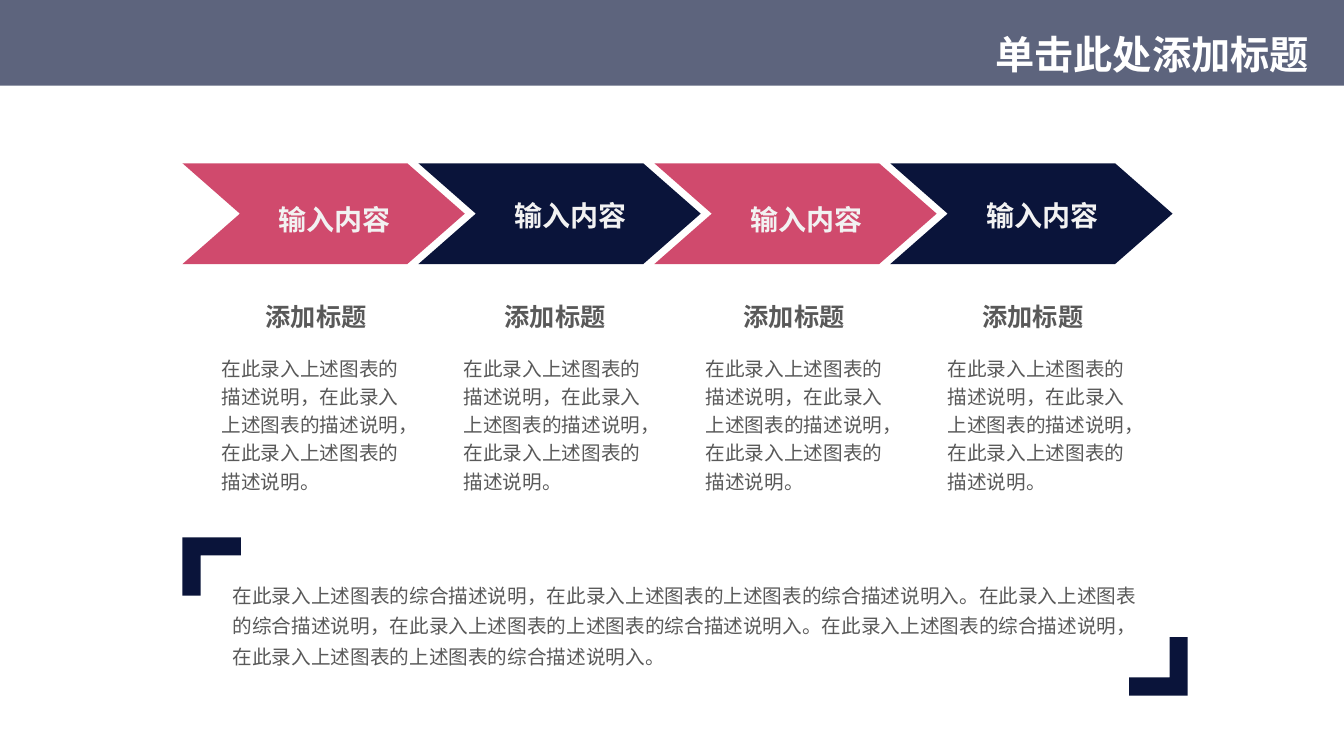
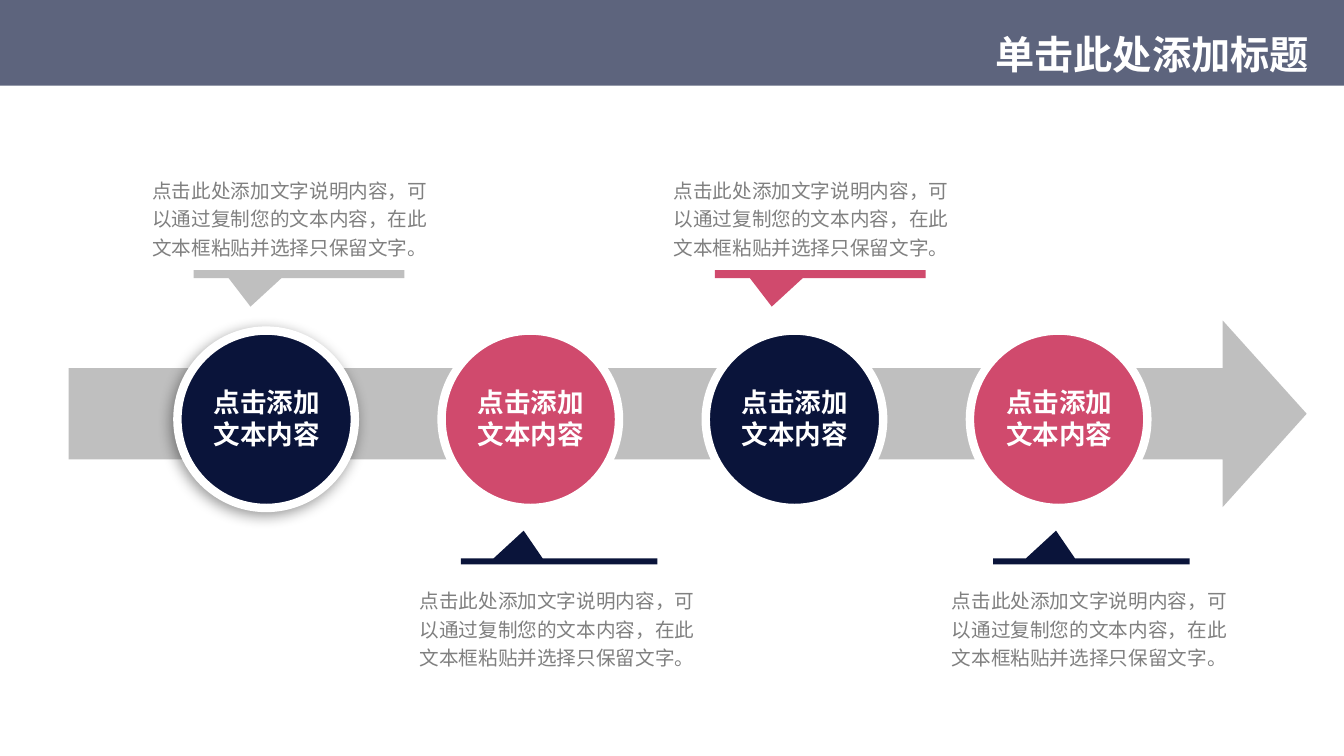
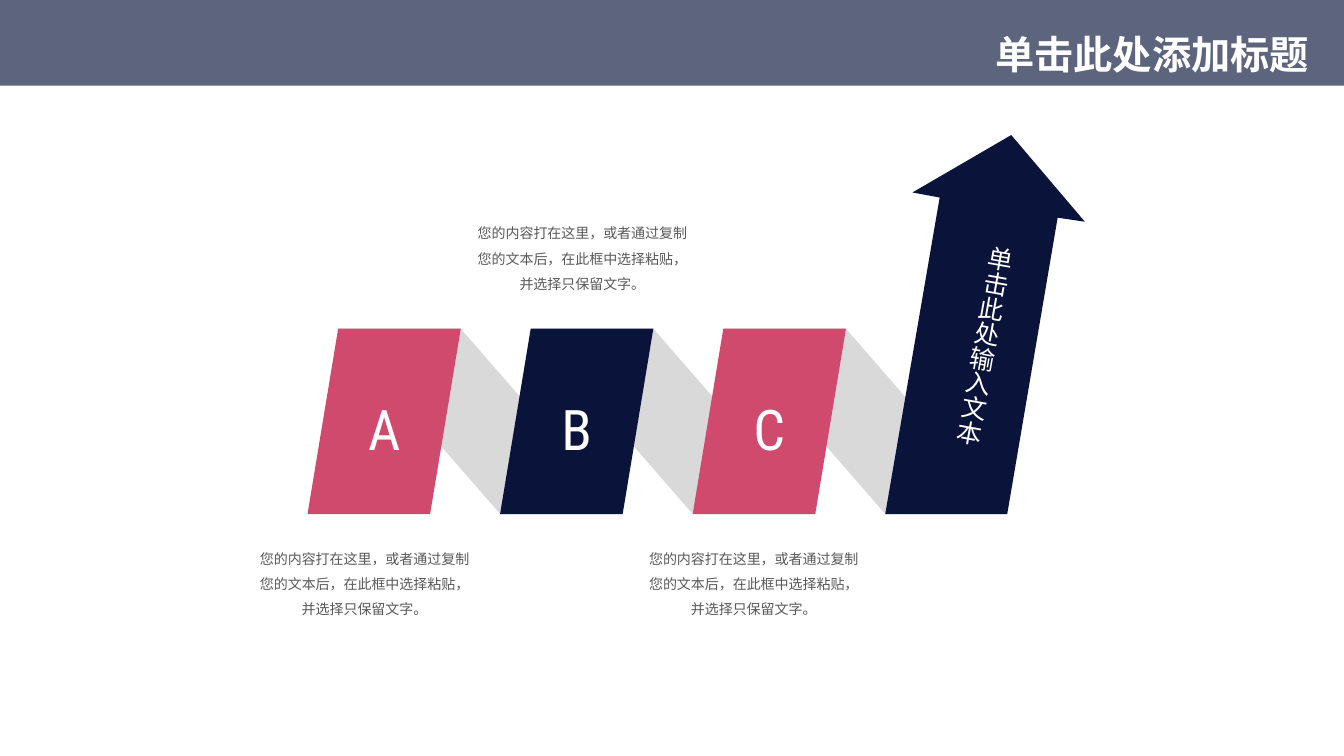
from dataclasses import dataclass

from lxml import etree
from pptx import Presentation
from pptx.dml.color import RGBColor
from pptx.enum.shapes import MSO_SHAPE
from pptx.enum.text import MSO_ANCHOR, PP_ALIGN
from pptx.oxml.ns import qn
from pptx.util import Inches, Pt

LEFT, CENTER, RIGHT = PP_ALIGN.LEFT, PP_ALIGN.CENTER, PP_ALIGN.RIGHT
TOP, MIDDLE = MSO_ANCHOR.TOP, MSO_ANCHOR.MIDDLE
RECT, OVAL = MSO_SHAPE.RECTANGLE, MSO_SHAPE.OVAL
CHEVRON, ARROW = MSO_SHAPE.CHEVRON, MSO_SHAPE.RIGHT_ARROW
SLANT, CALLOUT = MSO_SHAPE.PARALLELOGRAM, MSO_SHAPE.RECTANGULAR_CALLOUT


@dataclass(frozen=True)
class Theme:
    navy: str = "0A143A"
    rose: str = "D04A6D"
    band: str = "5D647D"
    white: str = "FFFFFF"
    pale: str = "F2F2F2"
    light: str = "D9D9D9"
    silver: str = "BFBFBF"
    gray: str = "808080"
    ink: str = "595959"
    cjk: str = "Noto Sans CJK SC"
    latin: str = "Arial"
    head: str = "Montserrat"
    letter: str = "Roboto Condensed"
    title: int = 28
    big: int = 40
    step: int = 20
    disc: int = 19
    sub: int = 18
    body: int = 14
    small: int = 10
    pitch: float = 1.2  # line height of single spacing, in type sizes


T = Theme()


class Deck:
    """Holds the presentation, its style and the current slide."""

    def __init__(self):
        self.prs = Presentation()
        self.prs.slide_width = Inches(13.33)
        self.prs.slide_height = Inches(7.5)
        self.layout = self.prs.slide_layouts[5]
        self.slide = None
        title = self.layout.placeholders[0]
        title.left, title.top = Inches(1.58), Inches(0.22)
        title.width, title.height = Inches(11.5), Inches(0.63)

    def page(self, title):
        first = self.slide is None
        self.slide = self.prs.slides.add_slide(self.layout)
        if first:
            band = self.shape(RECT, 0, 0, 13.33, 0.85, T.band)
            self.layout.shapes.element.insert(2, band.element)
        self.label(self.slide.shapes.title, [title], T.title, T.white,
                   font=T.head, bold=True, align=RIGHT, anchor=MIDDLE)

    def paint(self, shape, fill, line=None):
        shape.shadow.inherit = False
        shape.fill.solid()
        shape.fill.fore_color.rgb = RGBColor.from_string(fill)
        if line:
            shape.line.color.rgb = RGBColor.from_string(line)
            shape.line.width = Pt(6)
        else:
            shape.line.fill.background()
        return shape

    def shape(self, kind, x, y, w, h, fill, adj=(), line=None, flip=False):
        shape = self.slide.shapes.add_shape(
            kind, Inches(x), Inches(y), Inches(w), Inches(h))
        for i, value in enumerate(adj):
            shape.adjustments[i] = value
        if flip:
            shape.element.spPr.find(qn("a:xfrm")).set("flipH", "1")
        return self.paint(shape, fill, line)

    def outline(self, points, fill):
        dots = [(Inches(x), Inches(y)) for x, y in points]
        pen = self.slide.shapes.build_freeform(*dots[0], scale=1.0)
        pen.add_line_segments(dots[1:], close=True)
        return self.paint(pen.convert_to_shape(), fill)

    def glow(self, shape):
        """Give the shape a soft shadow to its lower left."""
        effects = shape.element.spPr.find(qn("a:effectLst"))
        shade = etree.SubElement(
            effects, qn("a:outerShdw"), blurRad=str(Pt(10)), dist=str(Pt(3)),
            dir="8100000", algn="tr", rotWithShape="0")
        color = etree.SubElement(shade, qn("a:srgbClr"), val="000000")
        etree.SubElement(color, qn("a:alpha"), val="40000")

    def label(self, shape, lines, size, color, font=T.cjk, bold=False,
              align=LEFT, anchor=TOP, space=1, pad=(0.1, 0.05), wrap=True):
        frame = shape.text_frame
        frame.word_wrap = wrap
        frame.vertical_anchor = anchor
        frame.margin_left = frame.margin_right = Inches(pad[0])
        frame.margin_top = frame.margin_bottom = Inches(pad[1])
        for i, line in enumerate(lines):
            para = frame.add_paragraph() if i else frame.paragraphs[0]
            para.alignment = align
            para.line_spacing = Pt(round(size * T.pitch * space, 1))
            run = para.add_run()
            run.text = line
            run.font.size, run.font.bold = Pt(size), bold
            run.font.name = font
            run.font.color.rgb = RGBColor.from_string(color)
            etree.SubElement(run.font._element, qn("a:ea"), typeface=T.cjk)

    def text(self, x, y, w, h, lines, size, color, **style):
        box = self.slide.shapes.add_textbox(
            Inches(x), Inches(y), Inches(w), Inches(h))
        self.label(box, lines, size, color, **style)
        return box


def chevrons(deck):
    deck.page("单击此处添加标题")
    note = "在此录入上述图表的描述说明，" * 2 + "在此录入上述图表的描述说明。"
    for i in range(4):
        x = 1.81 + 2.34 * i
        fill, space = ((T.rose, 1.2), (T.navy, 1))[i % 2]
        deck.shape(CHEVRON, x, 1.62, 2.8, 1, fill, [0.57])
        deck.text(x + 0.31, 1.89, 2.4, 0.5, ["输入内容"], T.step, T.pale,
                  font=T.latin, bold=True, align=CENTER, anchor=MIDDLE,
                  space=space)
        deck.text(2.53 + 2.37 * i, 2.94, 1.21, 0.4, ["添加标题"], T.sub,
                  T.ink, bold=True, align=CENTER, wrap=False)
        deck.text(2.1 + 2.4 * i, 3.44, 2.07, 1.51, [note], T.body, T.ink,
                  space=1.2)

    corner = [(0, 0), (0.58, 0), (0.58, 0.18), (0.18, 0.18),
              (0.18, 0.58), (0, 0.58)]
    for x, y, turn in ((1.81, 5.33, 1), (11.78, 6.9, -1)):
        deck.outline([(x + turn * a, y + turn * b) for a, b in corner],
                     T.navy)
    whole = "在此录入上述图表的综合描述说明，在此录入上述图表的上述图表的综合描述说明入。"
    deck.text(2.21, 5.67, 9.34, 1.02, [whole * 3], T.body, T.ink, space=1.3)


def timeline(deck):
    deck.page("单击此处添加标题")
    deck.shape(ARROW, 0.68, 3.18, 12.28, 1.85, T.silver, [0.49, 0.45])
    for i in range(4):
        x = 1.76 + 2.62 * i
        disc = deck.shape(OVAL, x, 3.28, 1.76, 1.76, (T.navy, T.rose)[i % 2],
                          line=T.white)
        if i == 0:
            deck.glow(disc)
        deck.text(x - 0.24, 3.78, 2.25, 0.72, ["点击添加", "文本内容"],
                  T.disc, T.white, bold=True, align=CENTER)

    note = "点击此处添加文字说明内容，可以通过复制您的文本内容，在此文本框粘贴并选择只保留文字。"
    above = (1.67, 2.68, 2.09, 0.08, [-0.23, 4.03])
    below = (5.74, 5.54, 1.95, 0.06, [-0.18, -5.1])
    for x, side, fill in ((1.39, above, T.silver), (4.04, below, T.navy),
                          (6.56, above, T.rose), (9.32, below, T.navy)):
        y, bar, w, h, tip = side
        deck.shape(CALLOUT, x + 0.53, bar, w, h, fill, tip)
        deck.text(x, y, 3.02, 0.97, [note], T.body, T.gray, space=1.2,
                  pad=(0.12, 0.06))


def folds(deck):
    deck.page("单击此处添加标题")
    left, step, top, high = 3.05, 1.91, 3.26, 1.84
    for i in range(3):
        deck.shape(SLANT, left + 0.31 + step * i, top, 2.81, high, T.light,
                   [0.87], flip=True)
    for i, mark in enumerate("ABC"):
        tile = deck.shape(SLANT, left + step * i, top, 1.52, high,
                          (T.rose, T.navy)[i % 2], [0.2])
        deck.label(tile, [mark], T.big, T.white, font=T.letter, align=CENTER,
                   anchor=MIDDLE, space=1.2, pad=(0, 0.05))
    deck.outline([(10.03, 1.34), (10.76, 2.2), (10.49, 2.16), (9.99, 5.1),
                  (8.78, 5.1), (9.32, 1.96), (9.05, 1.91)], T.navy)
    tag = deck.text(9.47, 2.33, 0.5, 2.12, ["单击此处输入文本"], T.sub,
                    T.white, wrap=False)
    tag.rotation = 10.2
    tag.text_frame._txBody.find(qn("a:bodyPr")).set("vert", "eaVert")

    note = "您的内容打在这里，或者通过复制您的文本后，在此框中选择粘贴，并选择只保留文字。"
    for x, y in ((2.46, 5.33), (4.62, 2.1), (6.32, 5.33)):
        deck.text(x, y, 2.31, 0.86, [note], T.small, T.ink, align=CENTER,
                  space=1.5)


def main():
    deck = Deck()
    chevrons(deck)
    timeline(deck)
    folds(deck)
    deck.prs.save("out.pptx")


if __name__ == "__main__":
    main()
